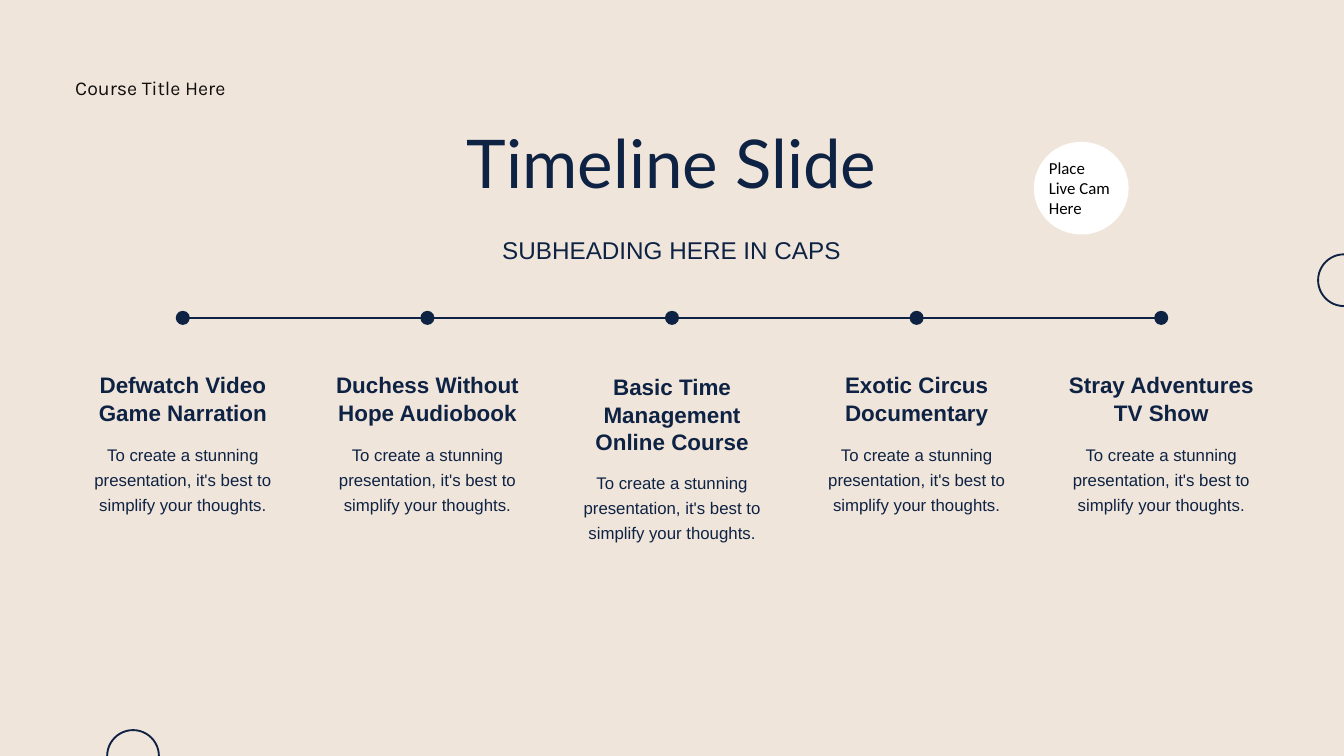
from lxml.etree import SubElement
from pptx import Presentation
from pptx.dml.color import RGBColor
from pptx.enum.shapes import MSO_CONNECTOR, MSO_SHAPE
from pptx.enum.text import MSO_ANCHOR, MSO_AUTO_SIZE, PP_ALIGN
from pptx.oxml.ns import qn
from pptx.util import Inches, Pt

HUES = {"sand": "F0E5DB", "navy": "0E2243", "ink": "100F0D", "black": "000000", "white": "FFFFFF"}
BODY = "To create a stunning presentation, it's best to simplify your thoughts."
STEPS = [
    ("Defwatch Video Game Narration", 5.52, 6.54),
    ("Duchess Without Hope Audiobook", 5.52, 6.54),
    ("Basic Time Management\nOnline Course", 5.55, 6.96),
    ("Exotic Circus Documentary", 5.52, 6.54),
    ("Stray Adventures\nTV Show", 5.52, 6.54),
]
FIRST, GAP, WIDE, AXIS = 2.72, 3.64, 2.95, 4.73


def hue(name):
    return RGBColor.from_string(HUES[name])


class Deck:
    """Holds the style and the current slide, and draws each kind of element."""

    def __init__(self):
        self.prs = Presentation()
        self.prs.slide_width = Inches(20)
        self.prs.slide_height = Inches(11.25)
        self.slide = self.prs.slides.add_slide(self.prs.slide_layouts[5])
        fill = self.slide.background.fill
        fill.solid()
        fill.fore_color.rgb = hue("sand")

    def style(self, shape, text, size, font="Arial", color="navy", lead=None,
              bold=False, align=PP_ALIGN.CENTER, inset=(0, 0)):
        frame = shape.text_frame
        frame.text = text
        frame.word_wrap = True
        frame.auto_size = MSO_AUTO_SIZE.NONE
        frame.vertical_anchor = MSO_ANCHOR.TOP
        frame.margin_left = frame.margin_right = Inches(inset[0])
        frame.margin_top = frame.margin_bottom = Inches(inset[1])
        for para in frame.paragraphs:
            para.alignment = align
            if lead:
                para.line_spacing = Pt(lead)
            for run in para.runs:
                run.font.size = Pt(size)
                run.font.name = font
                run.font.bold = bold
                run.font.color.rgb = hue(color)

    def title(self, text, box, size, **look):
        shape = self.slide.shapes.title
        shape.left, shape.top, shape.width, shape.height = map(Inches, box)
        self.style(shape, text, size, **look)

    def text(self, text, box, size, **look):
        shape = self.slide.shapes.add_textbox(*map(Inches, box))
        self.style(shape, text, size, **look)

    def oval(self, x, y, wide, high, fill=None, line=None):
        box = (x - wide / 2, y - high / 2, wide, high)
        shape = self.slide.shapes.add_shape(MSO_SHAPE.OVAL, *map(Inches, box))
        shape.shadow.inherit = False
        if fill:
            shape.fill.solid()
            shape.fill.fore_color.rgb = hue(fill)
        else:
            shape.fill.background()
        if line:
            shape.line.color.rgb = hue(line)
            shape.line.width = Pt(2)
        else:
            shape.line.fill.background()

    def line(self, start, end, y):
        ends = map(Inches, (start, y, end, y))
        link = self.slide.shapes.add_connector(MSO_CONNECTOR.STRAIGHT, *ends)
        link.line.color.rgb = hue("navy")
        link.line.width = Pt(2.2)
        SubElement(link.element.spPr, qn("a:effectLst"))

    def step(self, x, head, top, low):
        left = x - WIDE / 2
        self.text(head, (left, top, WIDE, low - top - 0.2), 24, lead=29.4, bold=True)
        self.text(BODY, (left, low, WIDE, 1.12), 18, lead=27)
        self.oval(x, AXIS, 0.21, 0.21, fill="navy")


def main():
    deck = Deck()
    deck.title("Timeline Slide", (2.89, 1.81, 14.21, 1.21), 72, font="Lato", lead=86.4)
    deck.text("SUBHEADING HERE IN CAPS", (2.89, 3.47, 14.21, 0.46), 26, lead=33.8)
    deck.line(FIRST, FIRST + GAP * (len(STEPS) - 1), AXIS)
    for i, step in enumerate(STEPS):
        deck.step(FIRST + GAP * i, *step)
    deck.text("Course Title Here", (1.12, 1.07, 4.3, 0.4), 21, font="Karla",
              color="ink", lead=29.4, align=PP_ALIGN.LEFT)
    for x, y in ((20, 4.17), (1.98, 11.25)):
        deck.oval(x, y, 0.77, 0.77, line="navy")
    deck.oval(16.09, 2.8, 1.38, 1.35, fill="white", line="white")
    deck.text("Place\nLive Cam\nHere", (15.51, 2.29, 3, 1.01), 18, font="Calibri",
              color="black", align=PP_ALIGN.LEFT, inset=(0.1, 0.05))
    deck.prs.save("out.pptx")


if __name__ == "__main__":
    main()
